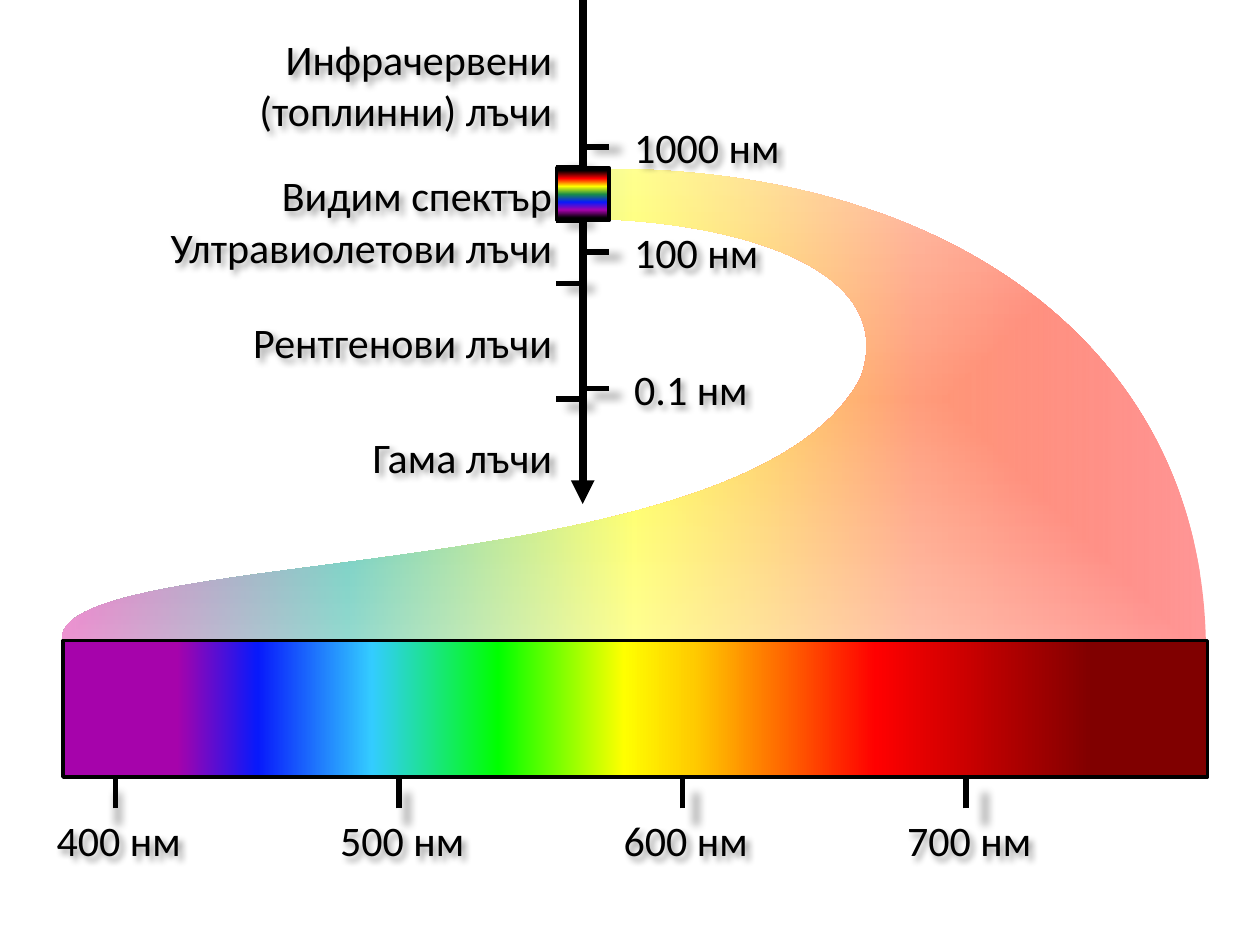
from dataclasses import dataclass

from lxml.etree import SubElement
from pptx import Presentation
from pptx.dml.color import RGBColor
from pptx.enum.shapes import MSO_CONNECTOR as Connector, MSO_SHAPE as Preset
from pptx.enum.text import MSO_ANCHOR as Anchor, MSO_AUTO_SIZE as AutoSize, PP_ALIGN as Align
from pptx.oxml import parse_xml
from pptx.oxml.ns import nsdecls, qn
from pptx.util import Inches, Pt

COLORS = {
    "black": "000000", "white": "FFFFFF", "red": "FF0000", "orange": "FF6633",
    "yellow": "FFFF00", "teal": "01A78F", "magenta": "D60093", "violet": "A603AB",
    "blue": "0819FB", "forest": "1A8D48", "sky": "33CCFF", "lime": "00FF00",
    "amber": "FFCC00", "maroon": "800000",
}
UNIT = Inches(1) / 12  # the slide is a grid of 120 columns and 90 rows
AXIS = 55.5            # column of the wavelength axis
SCALE_TOP = 74         # row where the ticks of the visible scale begin


@dataclass
class Stop:
    position: int
    color: str
    alpha: int = 100


@dataclass
class Box:
    column: float
    row: float
    columns: float
    rows: float


@dataclass
class Label:
    text: str
    box: Box
    align: Align = Align.LEFT


@dataclass
class Line:
    start: tuple[float, float]
    end: tuple[float, float]
    weight: float = 3
    arrow: bool = False


def grid(*units: float) -> list[int]:
    return [round(unit * UNIT) for unit in units]


def place(box: Box) -> list[int]:
    return grid(box.column, box.row, box.columns, box.rows)


def rgb(name: str) -> RGBColor:
    return RGBColor.from_string(COLORS[name])


def set_gradient(shape, stops: list[Stop], direction: str) -> None:
    shape.fill.gradient()
    items = "".join(
        f'<a:gs pos="{stop.position * 1000}"><a:srgbClr val="{COLORS[stop.color]}">'
        f'<a:alpha val="{stop.alpha * 1000}"/></a:srgbClr></a:gs>' for stop in stops)
    gradient = parse_xml(f'<a:gradFill {nsdecls("a")} rotWithShape="1">'
                         f"<a:gsLst>{items}</a:gsLst>{direction}</a:gradFill>")
    properties = shape._element.spPr
    properties.replace(properties.find(qn("a:gradFill")), gradient)


def linear(angle: int) -> str:
    return f'<a:lin ang="{angle * 60000}" scaled="0"/>'


def add_shadow(shape, **settings: str) -> None:
    effects = SubElement(shape._element.spPr, qn("a:effectLst"))
    shadow = SubElement(effects, qn("a:outerShdw"), rotWithShape="0", **settings)
    color = SubElement(shadow, qn("a:srgbClr"), val=COLORS["black"])
    SubElement(color, qn("a:alpha"), val="40000")


def add_gradient_box(slide, box: Box, stops: list[Stop], direction: str,
                     rotation: int = 0, outlined: bool = True) -> None:
    shape = slide.shapes.add_shape(Preset.RECTANGLE, *place(box))
    shape.rotation = rotation
    set_gradient(shape, stops, direction)
    if outlined:
        shape.line.color.rgb = rgb("black")
        shape.line.width = Pt(2)
    else:
        shape.line.fill.background()
    shape.shadow.inherit = False


def add_line(slide, line: Line) -> None:
    """Ticks cast a soft shadow; the arrowed axis casts none."""
    connector = slide.shapes.add_connector(Connector.STRAIGHT, *grid(*line.start, *line.end))
    connector.line.color.rgb = rgb("black")
    connector.line.width = Pt(line.weight)
    properties = connector._element.spPr
    if line.arrow:
        SubElement(properties.find(qn("a:ln")), qn("a:tailEnd"), type="triangle")
        SubElement(properties, qn("a:effectLst"))
    else:
        add_shadow(connector, blurRad="63500", sx="102000", sy="102000", algn="ctr")


def add_label(slide, label: Label) -> None:
    shape = slide.shapes.add_textbox(*place(label.box))
    frame = shape.text_frame
    frame.auto_size = AutoSize.NONE
    frame.word_wrap = True
    frame.vertical_anchor = Anchor.MIDDLE
    right = label.align == Align.RIGHT
    frame.margin_left = 0 if right else Inches(0.2)
    frame.margin_right = Inches(0.2) if right else 0
    frame.text = label.text
    for paragraph in frame.paragraphs:
        paragraph.alignment = label.align
        paragraph.font.size = Pt(24)
        paragraph.font.name = "Calibri"
        paragraph.font.color.rgb = rgb("black")
    add_shadow(shape, blurRad="50800", dist="38100", dir="2700000", algn="tl")


def curve_outline(shape) -> None:
    """Turn each three straight segments of a freeform into one cubic curve."""
    segments = list(shape._element.spPr.iter(qn("a:lnTo")))
    for first in range(0, len(segments), 3):
        curve = parse_xml(f'<a:cubicBezTo {nsdecls("a")}/>')
        segments[first].addprevious(curve)
        for segment in segments[first:first + 3]:
            curve.append(segment[0])
            segment.getparent().remove(segment)


def add_beam(slide) -> None:
    """The curved band that widens from the axis to the visible scale, in inches."""
    start = (4.83, 1.34)
    controls = [(7.56, 1.35), (9.52, 2.77), (9.57, 5.08),
                (8.85, 5.7), (0.82, 5.32), (0.49, 5.07),
                (0.5, 4.31), (5.94, 4.69), (6.83, 3),
                (7.13, 2.17), (5.97, 1.79), (4.81, 1.74),
                (4.45, 1.73), (4.77, 1.45), start]
    builder = slide.shapes.build_freeform(Inches(start[0]), Inches(start[1]))
    builder.add_line_segments([(Inches(x), Inches(y)) for x, y in controls], close=True)
    beam = builder.convert_to_shape()
    curve_outline(beam)
    set_gradient(beam, [Stop(0, "red"), Stop(25, "orange"), Stop(50, "yellow"),
                        Stop(75, "teal"), Stop(100, "magenta")], linear(180))
    beam.line.fill.background()
    beam.shadow.inherit = False


RAYS = [
    Label("Инфрачервени\n(топлинни) лъчи", Box(14, 0, 41, 16), Align.RIGHT),
    Label("Видим спектър", Box(14, 16, 41, 5), Align.RIGHT),
    Label("Рентгенови лъчи", Box(14, 29.5, 41, 6), Align.RIGHT),
    Label("Ултравиолетови лъчи", Box(14, 18, 41, 11), Align.RIGHT),
    Label("Гама лъчи", Box(14, 38, 41, 11), Align.RIGHT),
]
BOUNDARY_ROWS = [38, 27, 21, 16]
WAVELENGTHS = {"1000 нм": 14, "100 нм": 24, "0.1 нм": 37}
VISIBLE = ["400 нм", "500 нм", "600 нм", "700 нм"]


def main() -> None:
    presentation = Presentation()
    presentation.slide_width, presentation.slide_height = grid(120, 90)
    slide = presentation.slides.add_slide(presentation.slide_layouts[6])

    add_beam(slide)
    centre = '<a:path path="shape"><a:fillToRect l="50000" t="50000" r="50000" b="50000"/></a:path>'
    add_gradient_box(slide, Box(4, 13, 111, 50),
                     [Stop(1, "white", 35), Stop(100, "white", 59)], centre, outlined=False)

    add_line(slide, Line((AXIS, 0), (AXIS, 48), 4.5, arrow=True))
    for row in BOUNDARY_ROWS:
        add_line(slide, Line((AXIS - 2.5, row), (AXIS, row)))
    for label in RAYS:
        add_label(slide, label)
    for text, row in WAVELENGTHS.items():
        add_line(slide, Line((AXIS, row), (AXIS + 2.5, row)))
        add_label(slide, Label(text, Box(58, row - 3, 17, 6)))

    add_gradient_box(slide, Box(53, 16, 5, 5), [
        Stop(5, "black"), Stop(20, "violet"), Stop(35, "blue"), Stop(50, "forest"),
        Stop(65, "yellow"), Stop(80, "red"), Stop(95, "black")], linear(90), rotation=180)
    add_gradient_box(slide, Box(54, 13, 13, 109), [
        Stop(10, "violet"), Stop(17, "blue"), Stop(27, "sky"), Stop(38, "lime"),
        Stop(49, "yellow"), Stop(55, "amber"), Stop(71, "red"), Stop(90, "maroon")],
        linear(90), rotation=270)

    for index, text in enumerate(VISIBLE):
        column = 11 + 27 * index
        add_line(slide, Line((column, SCALE_TOP + 3), (column, SCALE_TOP)))
        add_label(slide, Label(text, Box(column - 8, SCALE_TOP + 3, 16, 6)))

    presentation.save("out.pptx")


if __name__ == "__main__":
    main()
